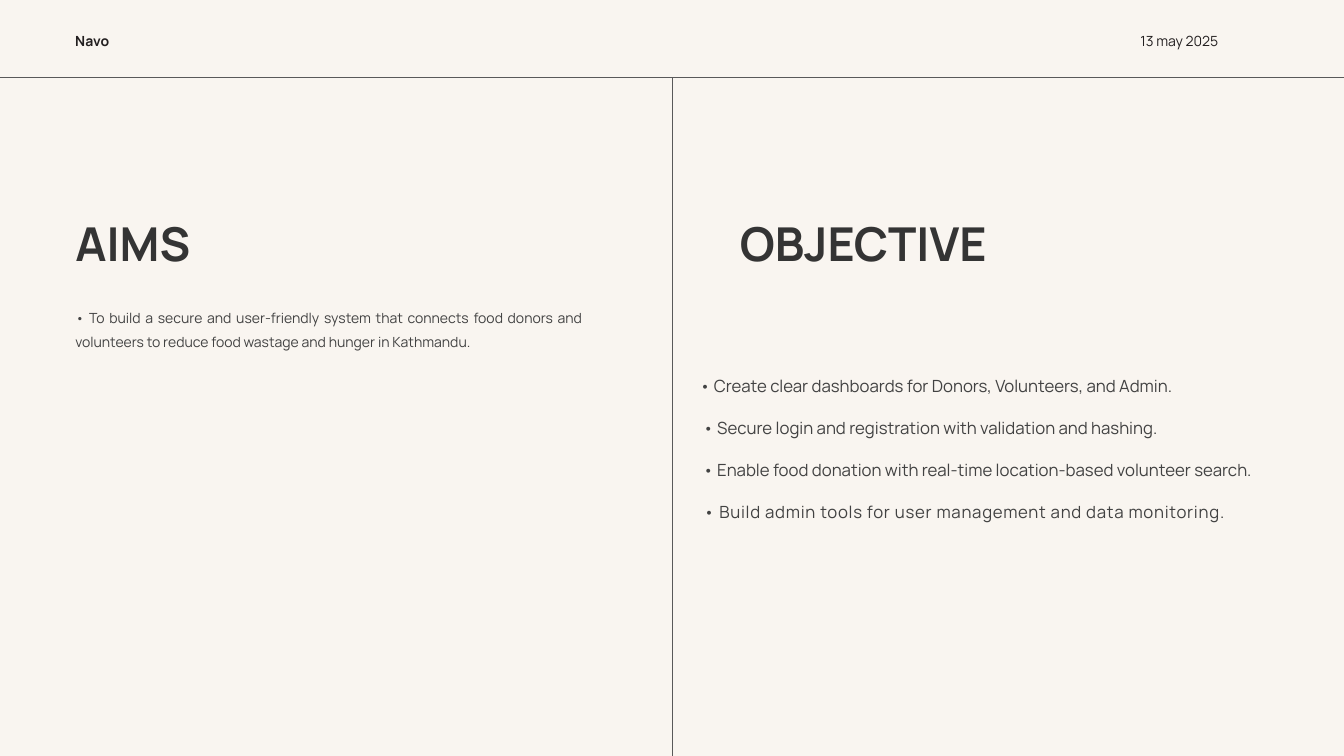
"""Build the slide that sets the project's aims beside its objectives."""
from lxml.etree import SubElement
from pptx import Presentation
from pptx.dml.color import RGBColor
from pptx.enum.shapes import MSO_CONNECTOR as Connector
from pptx.enum.text import MSO_ANCHOR as Anchor, MSO_AUTO_SIZE as AutoSize, PP_ALIGN as Align
from pptx.oxml.ns import qn
from pptx.util import Inches, Pt


def color(hex_code):
    return RGBColor.from_string(hex_code)


def write(holder, place, lines, size, leading, ink, bold=False, align=Align.LEFT):
    holder.left, holder.top, holder.width, holder.height = [int(n) for n in place]
    frame = holder.text_frame
    frame.margin_left = frame.margin_top = frame.margin_right = frame.margin_bottom = 0
    frame.word_wrap = True
    frame.auto_size = AutoSize.NONE
    frame.vertical_anchor = Anchor.TOP
    for index, line in enumerate(lines):
        paragraph = frame.paragraphs[0] if index == 0 else frame.add_paragraph()
        paragraph.alignment = align
        paragraph.line_spacing = Pt(leading)
        paragraph.space_before = Pt(0)
        run = paragraph.add_run()
        run.text = line
        run.font.name = "Manrope"
        run.font.size = Pt(size)
        run.font.bold = bold
        run.font.color.rgb = color(ink)
    return frame


deck = Presentation()
deck.slide_width, deck.slide_height = Inches(20), Inches(11.25)
column, row = deck.slide_width / 20, deck.slide_height / 11.25
slide = deck.slides.add_slide(deck.slide_layouts[5])
slide.background.fill.solid()
slide.background.fill.fore_color.rgb = color("F9F5F0")

left_edge, header_top, heading_top = 1.12 * column, 0.44 * row, 2.83 * row
middle, header_bottom = deck.slide_width // 2, int(1.15 * row)

for start_x, start_y, end_x, end_y in [
    (0, header_bottom, deck.slide_width, header_bottom),
    (middle, deck.slide_height, middle, header_bottom),
]:
    divider = slide.shapes.add_connector(Connector.STRAIGHT, start_x, start_y, end_x, end_y)
    divider.line.color.rgb = color("595959")
    divider.line.width = Pt(0.75)
    SubElement(divider._element.spPr, qn("a:effectLst"))

for label, left, width, bold in [("13 may 2025", 16.97, 1.91, False), ("Navo", 1.12, 2.97, True)]:
    header = slide.shapes.add_textbox(0, 0, 0, 0)
    write(header, (left * column, header_top, width * column, 0.3 * row),
          [label], 15, 21, "231F20", bold)

aims_heading = slide.shapes.title
objective_heading = slide.shapes.add_textbox(0, 0, 0, 0)
for heading, text, left, width in [
    (aims_heading, "AIMS", left_edge, 3.43),
    (objective_heading, "OBJECTIVE", 11.01 * column, 4.23),
]:
    write(heading, (left, heading_top, width * column, 1.14 * row), [text], 50, 86, "343434", True)

aim = slide.shapes.add_textbox(0, 0, 0, 0)
write(aim, (left_edge, 4.5 * row, 7.55 * column, 0.69 * row),
      ["• To build a secure and user-friendly system that connects food donors and "
       "volunteers to reduce food wastage and hunger in Kathmandu."],
      15, 25.8, "424242", align=Align.JUSTIFY)

objectives = slide.shapes.add_textbox(0, 0, 0, 0)
objective_text = write(
    objectives, (10.41 * column, 5.26 * row, 9.04 * column, 2.39 * row),
    ["• Create clear dashboards for Donors, Volunteers, and Admin.",
     " • Secure login and registration with validation and hashing.",
     " • Enable food donation with real-time location-based volunteer search.",
     " • Build admin tools for user management and data monitoring."],
    18, 45, "424242", align=Align.JUSTIFY)
admin_tools = objective_text.paragraphs[-1].runs[0]
admin_tools._r.get_or_add_rPr().set("spc", "80")

deck.save("out.pptx")
